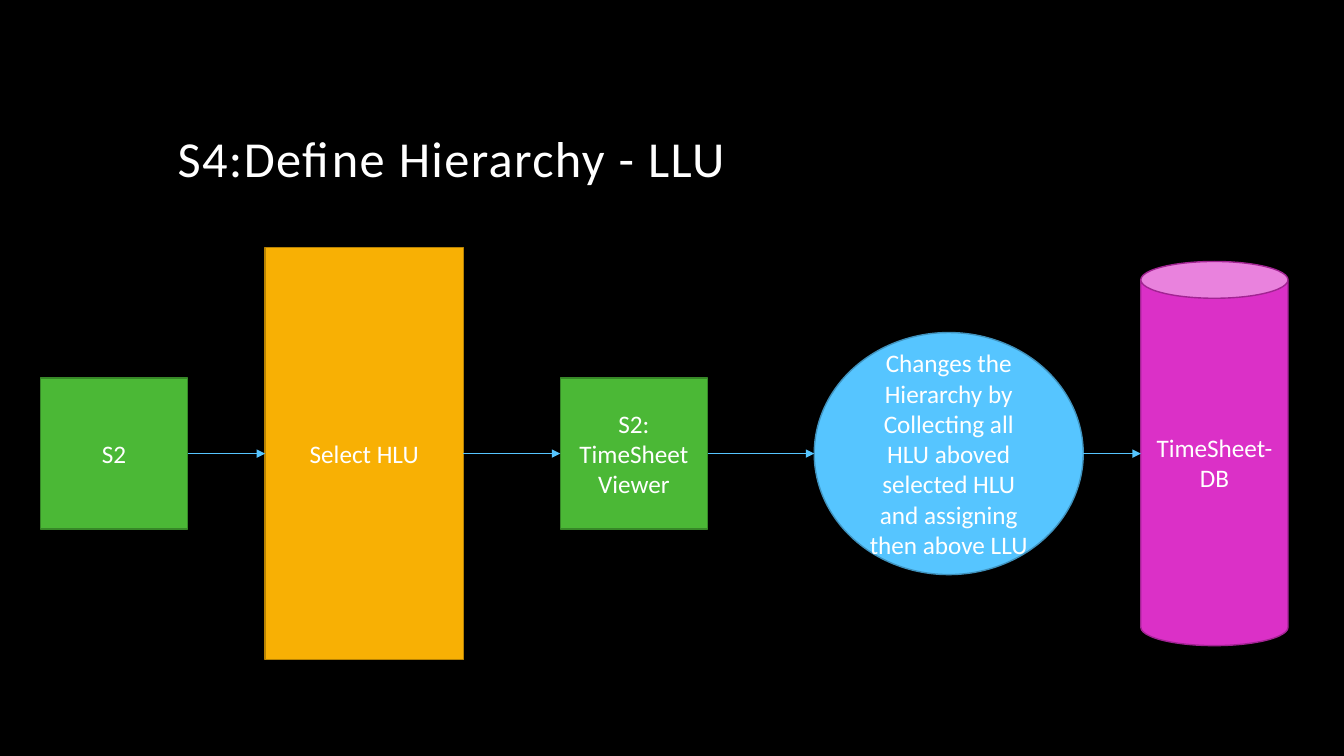
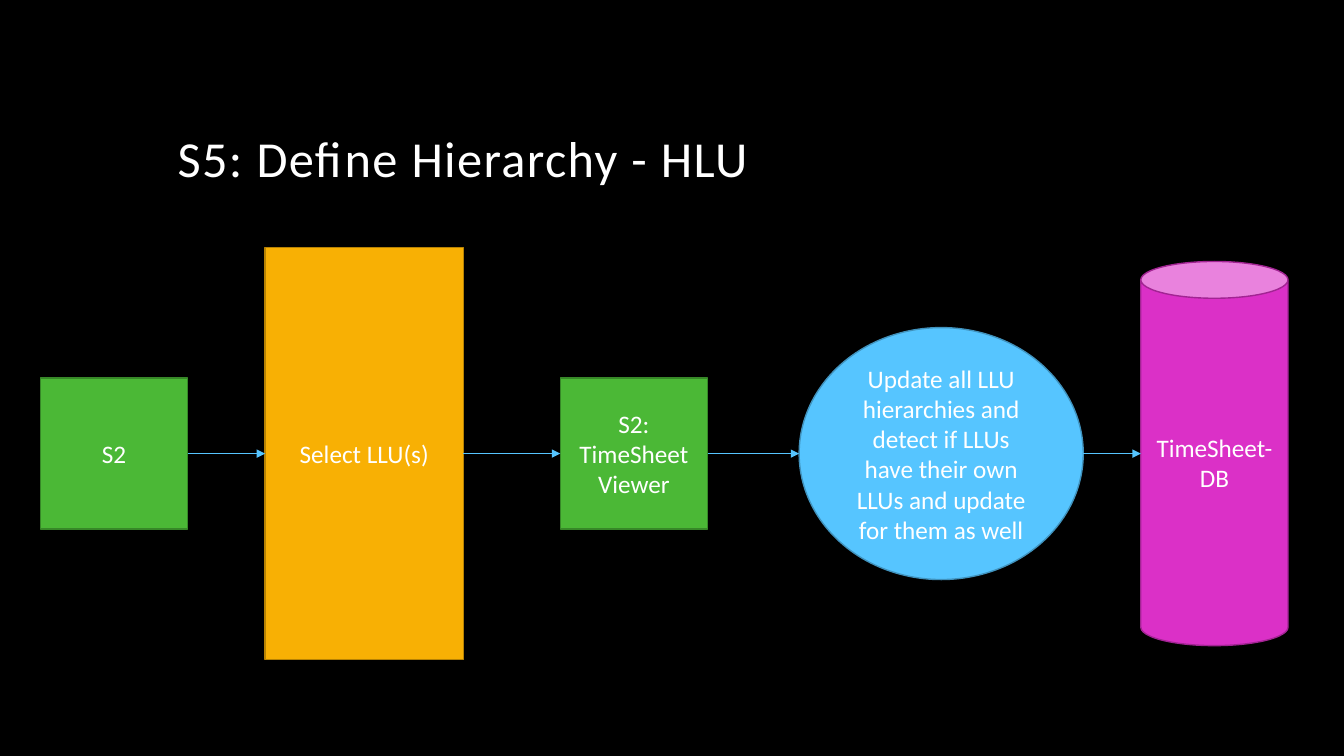
from lxml import etree
from pptx import Presentation
from pptx.dml.color import RGBColor
from pptx.enum.shapes import MSO_CONNECTOR, MSO_SHAPE
from pptx.enum.text import MSO_ANCHOR, MSO_AUTO_SIZE, PP_ALIGN
from pptx.oxml.ns import qn
from pptx.util import Cm, Pt

RECTANGLE, ELLIPSE, CAN = MSO_SHAPE.RECTANGLE, MSO_SHAPE.OVAL, MSO_SHAPE.CAN
STRAIGHT = MSO_CONNECTOR.STRAIGHT
MIDDLE, BOTTOM = MSO_ANCHOR.MIDDLE, MSO_ANCHOR.BOTTOM
CENTER, LEFT = PP_ALIGN.CENTER, PP_ALIGN.LEFT
LEFT_SIDE, RIGHT_SIDE = 1, 3

BLACK = RGBColor(0x00, 0x00, 0x00)
WHITE = RGBColor(0xFF, 0xFF, 0xFF)
GREEN, DARK_GREEN = RGBColor(0x4B, 0xB8, 0x36), RGBColor(0x37, 0x88, 0x28)
AMBER, DARK_AMBER = RGBColor(0xF8, 0xB0, 0x04), RGBColor(0xB7, 0x82, 0x03)
BLUE, DARK_BLUE = RGBColor(0x56, 0xC5, 0xFF), RGBColor(0x40, 0x92, 0xBD)
PINK, DARK_PINK = RGBColor(0xDB, 0x30, 0xC7), RGBColor(0xA2, 0x24, 0x93)

AXIS = Cm(11.43)
TITLE_PLACE = {"left": Cm(4.22), "top": Cm(1.07), "width": Cm(25.4), "height": Cm(3.81)}

# kind: preset shape, fill, outline
STYLES = {
    "screen": (RECTANGLE, GREEN, DARK_GREEN),
    "input": (RECTANGLE, AMBER, DARK_AMBER),
    "process": (ELLIPSE, BLUE, DARK_BLUE),
    "store": (CAN, PINK, DARK_PINK),
}

# title, input text, process text, process left, width and height in cm
FLOWS = [
    ("S4:Define Hierarchy - LLU", "Select HLU",
     "Changes the Hierarchy by Collecting all HLU aboved selected HLU "
     "and assigning then above LLU", (20.52, 6.78, 6.1)),
    ("S5: Define Hierarchy - HLU", "Select LLU(s)",
     "Update all LLU hierarchies and detect if LLUs have their own LLUs "
     "and update for them as well", (20.14, 7.16, 6.35)),
]


def write(shape, text, size, anchor, alignment):
    frame = shape.text_frame
    settings = {"word_wrap": True, "auto_size": MSO_AUTO_SIZE.NONE, "vertical_anchor": anchor}
    for name, value in settings.items():
        setattr(frame, name, value)
    para = frame.paragraphs[0]
    para.alignment = alignment
    span = para.add_run()
    span.text = text
    for name, value in {"name": "Calibri", "size": Pt(size)}.items():
        setattr(span.font, name, value)
    span.font.color.rgb = WHITE
    return para


def add_arrow(page, source, target):
    """Link two steps along the axis, glued wherever an end is a rectangle."""
    arrow = page.shapes.add_connector(
        STRAIGHT, source.left + source.width, AXIS, target.left, AXIS)
    if source.auto_shape_type == RECTANGLE:
        arrow.begin_connect(source, RIGHT_SIDE)
    if target.auto_shape_type == RECTANGLE:
        arrow.end_connect(target, LEFT_SIDE)
    arrow.line.color.rgb = BLUE
    arrow.line.width = Pt(0.5)
    properties = arrow.element.spPr
    etree.SubElement(properties.find(qn("a:ln")), qn("a:tailEnd"), type="triangle")
    etree.SubElement(properties, qn("a:effectLst"))


deck = Presentation()
deck.slide_width, deck.slide_height = Cm(33.87), Cm(19.05)
background = deck.slide_master.background.fill
background.solid()
background.fore_color.rgb = BLACK
title_only = deck.slide_layouts[5]

for title_text, input_text, process_text, process_place in FLOWS:
    page = deck.slides.add_slide(title_only)
    title = page.shapes.title
    for name, value in TITLE_PLACE.items():
        setattr(title, name, value)
    para = write(title, title_text, 36, BOTTOM, LEFT)
    para.line_spacing = 0.9
    para.runs[0].font._element.set("spc", "100")

    steps = [
        ("screen", "S2", (1.02, 3.71, 3.81)),
        ("input", input_text, (6.68, 5, 10.39)),
        ("screen", "S2: TimeSheet Viewer", (14.12, 3.71, 3.81)),
        ("process", process_text, process_place),
        ("store", "TimeSheet-DB", (28.75, 3.71, 9.68)),
    ]
    boxes = []
    for kind, text, place in steps:
        preset, fill, outline = STYLES[kind]
        left, width, height = map(Cm, place)
        box = page.shapes.add_shape(preset, left, AXIS - height // 2, width, height)
        box.shadow.inherit = False
        box.fill.solid()
        box.fill.fore_color.rgb = fill
        box.line.color.rgb = outline
        box.line.width = Pt(1)
        write(box, text, 18, MIDDLE, CENTER)
        boxes.append(box)

    for source, target in zip(boxes, boxes[1:]):
        add_arrow(page, source, target)

deck.save("out.pptx")
